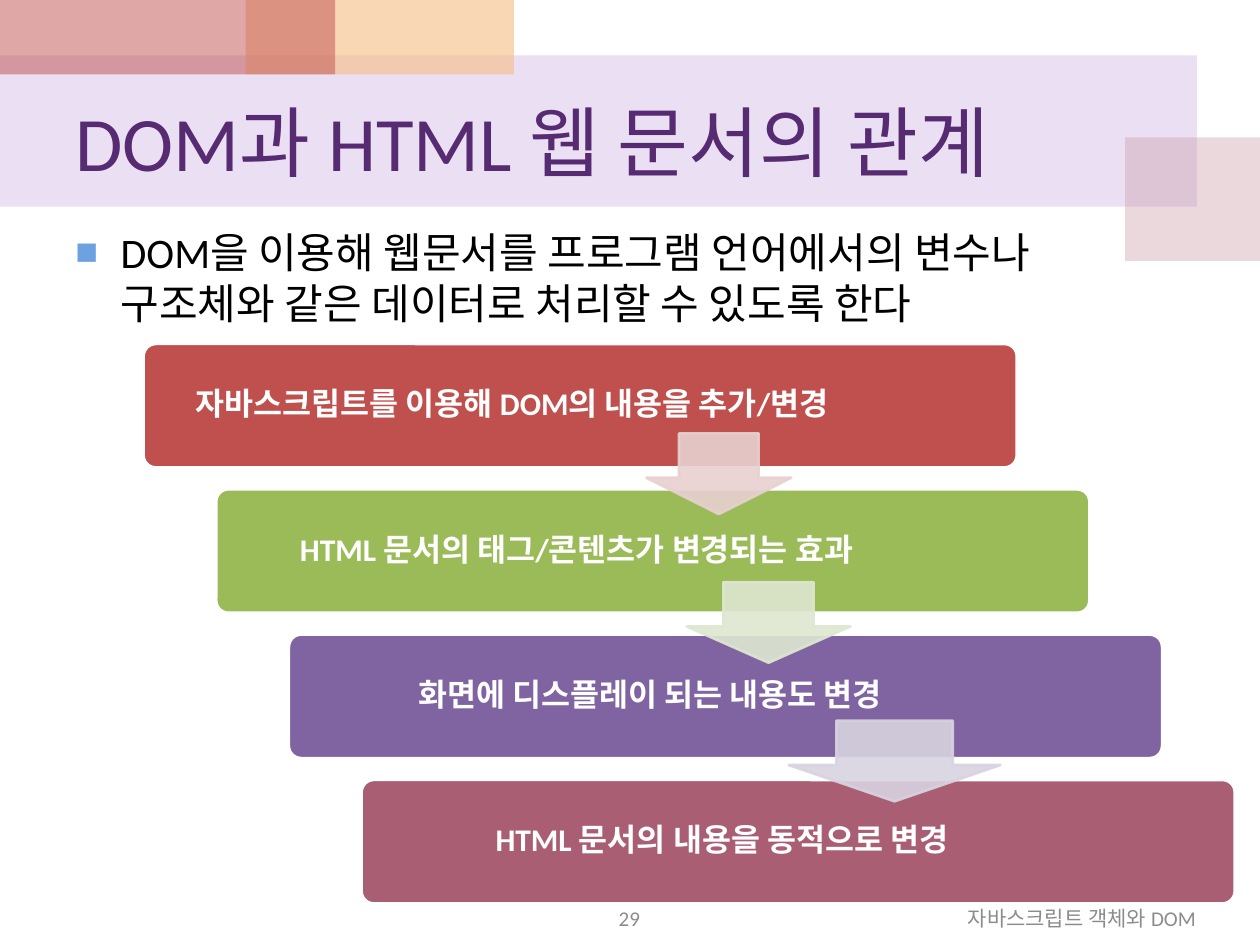
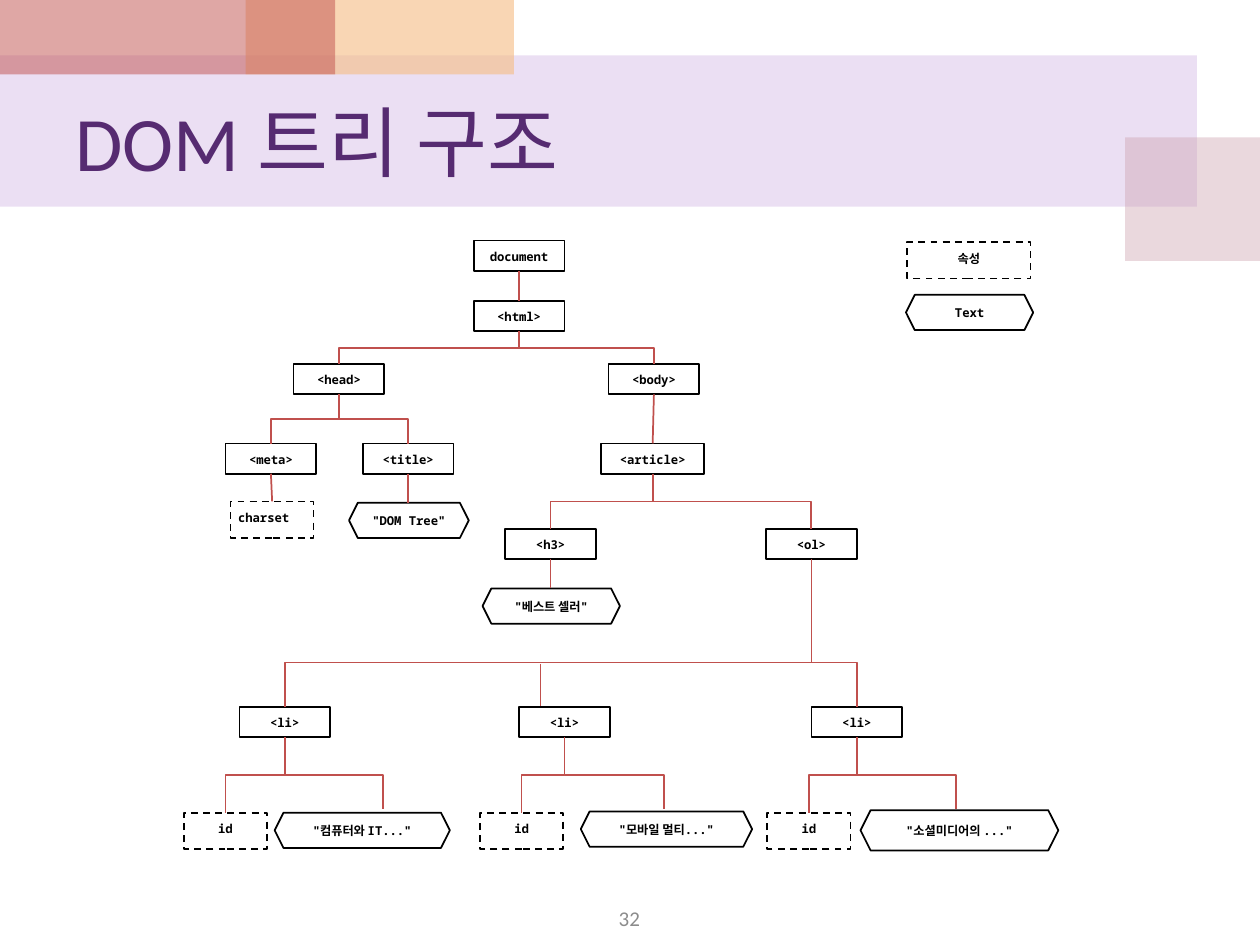
from lxml.etree import SubElement
from pptx import Presentation
from pptx.dml.color import RGBColor
from pptx.enum.dml import MSO_LINE_DASH_STYLE as Dash
from pptx.enum.shapes import MSO_CONNECTOR as Link, MSO_SHAPE as Kind
from pptx.enum.text import MSO_ANCHOR as Anchor, MSO_AUTO_SIZE as Auto, PP_ALIGN as Align
from pptx.oxml.ns import qn
from pptx.util import Inches, Pt

SANS, MONO = "Calibri", "Noto Sans Mono"
WHITE, BLACK, GRAY = "FFFFFF", "000000", "8C8C8C"
RED, TITLE, BULLET = "C0504D", "562B71", "6BA2DF"
PAD = (0.1, 0.05, 0.1, 0.05)
BANDS = [
    (0, 0.44, 9.5, 1.2, "BF98D8", 30),
    (8.93, 1.09, 1.07, 0.98, "CC9EAC", 40),
    (1.95, 0, 2.13, 0.59, "F5BC83", 60),
    (0, 0, 2.66, 0.59, RED, 50),
]
STEPS = [
    ("자바스크립트를 이용해 DOM의 내용을 추가/변경", RED, 1.18),
    ("HTML 문서의 태그/콘텐츠가 변경되는 효과", "9BBB59", 1.31),
    ("화면에 디스플레이 되는 내용도 변경", "8064A2", 1.3),
    ("HTML 문서의 내용을 동적으로 변경", "AA5E74", 1.31),
]
ARROWS = [
    (5.13, 3.44, 1.15, "E8D0D0"),
    (5.45, 4.62, 1.3, "DEE7D1"),
    (6.26, 5.72, 1.68, "D8D3E0"),
]
TAGS = {
    "document": (3.76, 1.91),
    "html": (3.76, 2.39),
    "head": (2.33, 2.89),
    "body": (4.83, 2.89),
    "meta": (1.79, 3.52),
    "title": (2.88, 3.52),
    "article": (4.77, 3.52),
    "h3": (4.01, 4.2),
    "ol": (6.08, 4.2),
}
FORKS = [
    ("html", "head", 0.5),
    ("html", "body", 0.5),
    ("head", "meta", 0.5),
    ("head", "title", 0.5),
    ("article", "h3", 0.5),
    ("article", "ol", 0.5),
]
ITEMS = [
    (1.9, 1.46, 3.04, '"컴퓨터와 IT..."', (2.18, 6.45, 1.39, 0.28)),
    (4.12, 3.81, 5.27, '"모바일 멀티..."', (4.61, 6.44, 1.36, 0.28)),
    (6.44, 6.09, 7.59, '"소셜미디어의 ..."', (6.83, 6.43, 1.57, 0.32)),
]


def rgb(code):
    """Turn a hex string into a colour."""
    return RGBColor.from_string(code)


def write(shape, text, size, hue, font=SANS, bold=False, align=Align.LEFT,
          space=None, pad=PAD, anchor=Anchor.MIDDLE):
    """Put one formatted paragraph in a shape and return it."""
    frame = shape.text_frame
    frame.word_wrap, frame.auto_size = True, Auto.NONE
    frame.vertical_anchor = anchor
    (frame.margin_left, frame.margin_top,
     frame.margin_right, frame.margin_bottom) = map(Inches, pad)
    para = frame.paragraphs[0]
    para.alignment, para.line_spacing = align, space
    run = para.add_run()
    run.text = text
    run.font.size, run.font.name, run.font.bold = Pt(size), font, bold
    run.font.color.rgb = rgb(hue)
    return para


def draw(slide, kind, at, fill=None, line=None, width=1, alpha=None):
    """Add a preset shape with plain fill and outline."""
    shape = slide.shapes.add_shape(kind, *map(Inches, at))
    shape.shadow.inherit = False
    if fill:
        shape.fill.solid()
        shape.fill.fore_color.rgb = rgb(fill)
    else:
        shape.fill.background()
    if line:
        shape.line.color.rgb = rgb(line)
        shape.line.width = Pt(width)
    else:
        shape.line.fill.background()
    if alpha:
        for tint in shape._element.spPr.iter(qn("a:srgbClr")):
            SubElement(tint, qn("a:alpha"), val=str(alpha * 1000))
    return shape


def label(slide, at, text, size, hue, **look):
    """Add a text box."""
    box = slide.shapes.add_textbox(*map(Inches, at))
    return write(box, text, size, hue, **look)


def dress(slide, layout):
    """Draw the colour bands and move them behind the layout's titles."""
    for i, (*at, hue, alpha) in enumerate(BANDS):
        band = draw(slide, Kind.RECTANGLE, at, hue, alpha=alpha)._element
        band.nvSpPr.cNvPr.set("id", str(20 + i))
        layout.shapes._spTree.insert(2 + i, band)


def start(deck, title, page):
    """Add a slide with its title and page number."""
    slide = deck.slides.add_slide(deck.slide_layouts[5])
    head = slide.shapes.title
    head.left, head.top, head.width, head.height = map(Inches, (0.5, 0.59, 9, 1.05))
    write(head, title, 44, TITLE)
    label(slide, (3.83, 7.15, 2.33, 0.27), page, 12, GRAY, align=Align.CENTER)
    return slide


def point(slide, at, text):
    """Add a paragraph with a square bullet."""
    para = label(slide, at, text, 24, BLACK, anchor=Anchor.TOP)
    props = para._p.get_or_add_pPr()
    props.set("marL", str(Inches(0.36)))
    props.set("indent", str(-Inches(0.36)))
    tint = SubElement(props, qn("a:buClr"))
    SubElement(tint, qn("a:srgbClr"), val=BULLET)
    SubElement(props, qn("a:buSzPct"), val="90000")
    SubElement(props, qn("a:buFont"), typeface="Arial")
    SubElement(props, qn("a:buChar"), char="■")


def card(slide, i, text, hue, gap):
    """Add one step of the staircase."""
    at = (1.14 + 1.73 * i / 3, 2.73 + 3.46 * i / 3, 6.93, 0.98)
    shape = draw(slide, Kind.ROUNDED_RECTANGLE, at, hue, WHITE, 1.5)
    shape.adjustments[0] = 0.1
    write(shape, text, 18, WHITE, bold=True, align=Align.CENTER, space=0.9,
          pad=(0.1, 0.1, gap, 0.1))


def arrow(slide, x, y, width, hue):
    """Add a translucent arrow between two steps."""
    shape = draw(slide, Kind.DOWN_ARROW, (x, y, width, 0.64), hue, hue, 1.5, 90)
    shape.adjustments[0], shape.adjustments[1] = 0.55, 0.45


def tag(slide, text, x, y, width=0.72):
    """Add an element node."""
    box = draw(slide, Kind.RECTANGLE, (x, y, width, 0.24), WHITE, BLACK)
    write(box, text, 7, BLACK, MONO, True, Align.CENTER, 1.07, (0.04,) * 4)
    return box


def attr(slide, text, x, y, width=0.66, align=Align.CENTER, inset=0):
    """Add a dashed attribute node."""
    box = draw(slide, Kind.RECTANGLE, (x, y, width, 0.29), WHITE, BLACK)
    box.line.dash_style = Dash.DASH
    write(box, text, 7, BLACK, MONO, True, align, 1.07, (inset, 0, 0, 0.04))
    return box


def leaf(slide, text, at):
    """Add a hexagonal text node."""
    box = draw(slide, Kind.HEXAGON, at, line=BLACK)
    write(box, text, 7, BLACK, MONO, True, Align.CENTER, 1.06, (0,) * 4)
    return box


def wire(slide, kind, *ends):
    """Add a thin red connector without shadow."""
    line = slide.shapes.add_connector(kind, *map(int, ends))
    line.line.color.rgb, line.line.width = rgb(RED), Pt(1)
    SubElement(line._element.spPr, qn("a:effectLst"))
    return line


def foot(box):
    """Return the middle of a box's lower side."""
    return box.left + box.width / 2, box.top + box.height


def crown(box):
    """Return the middle of a box's upper side."""
    return box.left + box.width / 2, box.top


def drop(slide, top, low, join=True):
    """Link two boxes with a straight line."""
    line = wire(slide, Link.STRAIGHT, *foot(top), foot(top)[0], low.top)
    line.begin_connect(top, 2)
    if join:
        line.end_connect(low, 0)


def fork(slide, start, end, bend=0.5):
    """Run an elbow down, across and down between two points."""
    (x, y), (to_x, to_y) = start, end
    mid_x, mid_y = (x + to_x) / 2, (y + to_y) / 2
    wide, tall = (to_x - x) / 2, (to_y - y) / 2
    line = wire(slide, Link.ELBOW, mid_x - tall, mid_y + wide, mid_x + tall, mid_y - wide)
    props = line._element.spPr
    props.find(qn("a:xfrm")).set("rot", "5400000")
    shape = props.find(qn("a:prstGeom"))
    guides = shape.find(qn("a:avLst"))
    if guides is None:
        guides = SubElement(shape, qn("a:avLst"))
    SubElement(guides, qn("a:gd"), name="adj1", fmla=f"val {round(bend * 100000)}")


def relate(deck):
    """Build the slide on how the DOM and a page relate."""
    slide = start(deck, "DOM과 HTML 웹 문서의 관계", "29")
    dress(slide, deck.slide_layouts[5])
    point(slide, (0.5, 1.75, 9, 1.06),
          "DOM을 이용해 웹문서를 프로그램 언어에서의 변수나 구조체와 같은 데이터로 처리할 수 있도록 한다")
    for i, step in enumerate(STEPS):
        card(slide, i, *step)
    for spot in ARROWS:
        arrow(slide, *spot)
    label(slide, (6.42, 7.15, 3.17, 0.27), "자바스크립트 객체와 DOM", 12, GRAY, align=Align.RIGHT)


def tree(deck):
    """Build the slide with the DOM tree."""
    slide = start(deck, "DOM 트리 구조", "32")
    nodes = {}
    for name, spot in TAGS.items():
        text = name if name == "document" else f"<{name}>"
        nodes[name] = tag(slide, text, *spot, 0.82 if name == "article" else 0.72)
    for top, low, bend in FORKS:
        fork(slide, foot(nodes[top]), crown(nodes[low]), bend)

    chars = attr(slide, "charset", 1.83, 3.98, align=Align.LEFT, inset=0.06)
    name = leaf(slide, '"DOM Tree"', (2.77, 3.99, 0.95, 0.28))
    best = leaf(slide, '"베스트 셀러"', (3.83, 4.67, 1.09, 0.28))
    drop(slide, nodes["document"], nodes["html"])
    drop(slide, nodes["body"], nodes["article"])
    drop(slide, nodes["meta"], chars)
    drop(slide, nodes["title"], name, False)
    drop(slide, nodes["h3"], best, False)

    for i, (x, id_x, text_x, text, at) in enumerate(ITEMS):
        item = tag(slide, "<li>", x, 5.61)
        mark = attr(slide, "id", id_x, 6.45)
        leaf(slide, text, at)
        fork(slide, foot(item), crown(mark))
        fork(slide, foot(item), (Inches(text_x), Inches(6.42)), 0.53)
        if i != 1:
            fork(slide, foot(nodes["ol"]), crown(item), 0.7)
    wire(slide, Link.STRAIGHT, *map(Inches, (4.29, 5.27, 4.29, 5.6)))

    attr(slide, "속성", 7.2, 1.92, 0.98)
    leaf(slide, "Text", (7.19, 2.34, 1.01, 0.28))


def main():
    """Build and save the deck."""
    deck = Presentation()
    deck.slide_width, deck.slide_height = Inches(10), Inches(7.5)
    relate(deck)
    tree(deck)
    deck.save("out.pptx")


if __name__ == "__main__":
    main()
